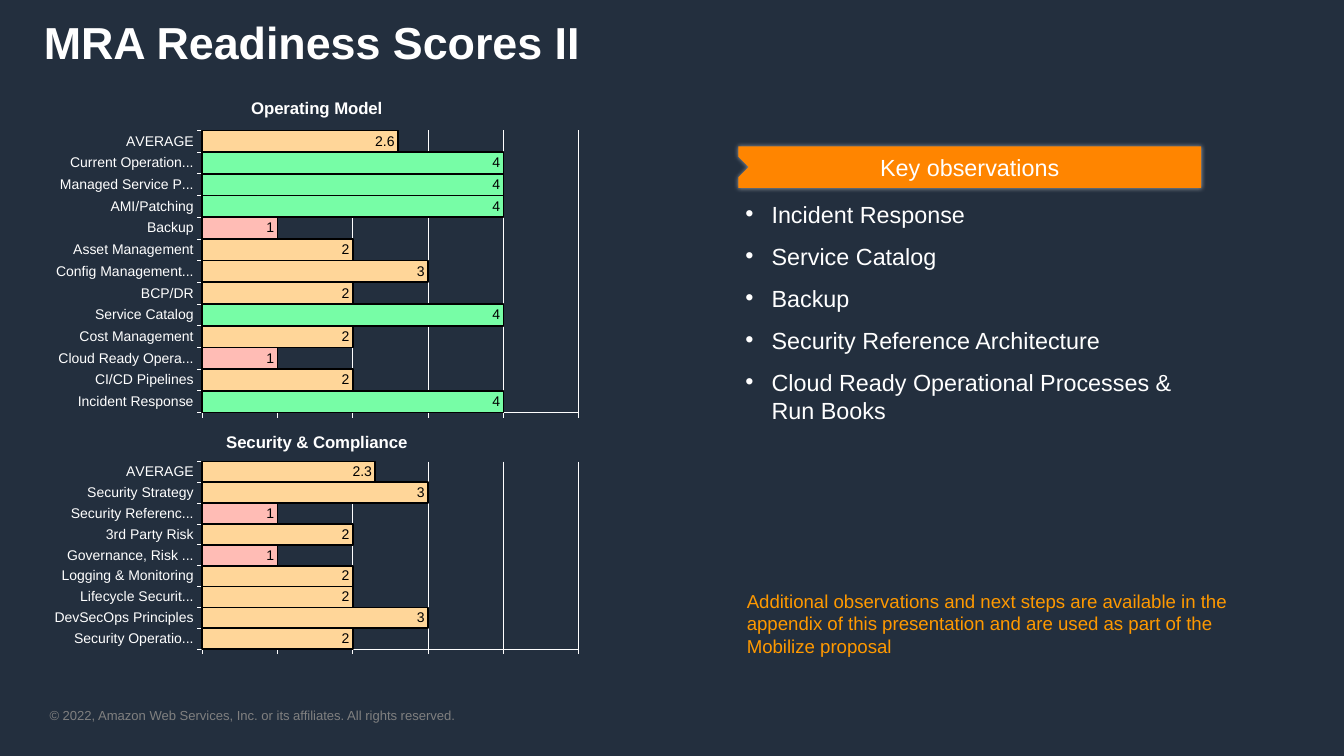
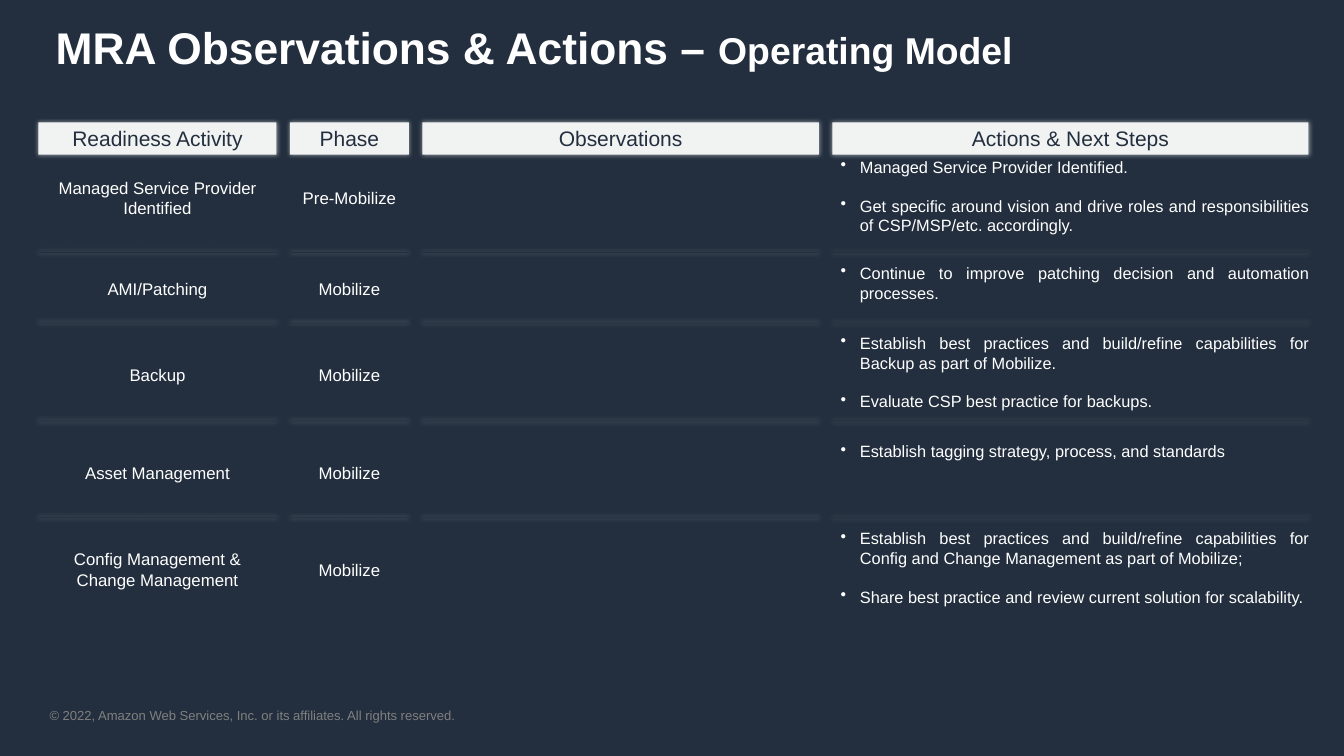
"""Build two readiness assessment slides: score charts and an observations grid."""
from dataclasses import dataclass
from typing import Any, NamedTuple, Optional

from pptx import Presentation
from pptx.chart.data import CategoryChartData
from pptx.dml.color import RGBColor
from pptx.enum.chart import XL_CHART_TYPE, XL_LABEL_POSITION, XL_TICK_LABEL_POSITION, XL_TICK_MARK
from pptx.enum.shapes import MSO_SHAPE
from pptx.enum.text import MSO_ANCHOR, MSO_AUTO_SIZE, PP_ALIGN
from pptx.oxml import parse_xml
from pptx.oxml.ns import nsdecls, qn
from pptx.util import Pt

BAR = XL_CHART_TYPE.BAR_CLUSTERED
INSIDE_END = XL_LABEL_POSITION.INSIDE_END
NO_LABELS = XL_TICK_LABEL_POSITION.NONE
TICK_OUT, TICK_NONE = XL_TICK_MARK.OUTSIDE, XL_TICK_MARK.NONE
RECTANGLE = MSO_SHAPE.RECTANGLE
TOP, MIDDLE = MSO_ANCHOR.TOP, MSO_ANCHOR.MIDDLE
LEFT, CENTER, JUSTIFY = PP_ALIGN.LEFT, PP_ALIGN.CENTER, PP_ALIGN.JUSTIFY
FIXED_SIZE = MSO_AUTO_SIZE.NONE

FONT = "Arial"
NAVY, WHITE, BLACK, GRAY = "232F3E", "FFFFFF", "000000", "808080"
ORANGE, AMBER_TEXT, PALE = "FF8500", "FF9900", "F1F3F3"
GREEN_BAR, YELLOW_BAR, RED_BAR = "77FDA6", "FFD699", "FFBCB5"
SIDES = ("margin_left", "margin_top", "margin_right", "margin_bottom")
FOOTER = "© 2022, Amazon Web Services, Inc. or its affiliates. All rights reserved."


class Area(NamedTuple):
    left: float
    top: float
    width: float
    height: float


class Span(NamedTuple):
    text: str
    size: float
    color: str = WHITE
    bold: bool = False


@dataclass(frozen=True)
class Layout:
    align: Any = LEFT
    anchor: Any = TOP
    insets: tuple[float, float, float, float] = (7.2, 3.6, 7.2, 3.6)
    indent: float = 0
    gap_before: float = 0
    gap_after: float = 0
    line_spacing: float = 1.0


@dataclass(frozen=True)
class ScoreChart:
    title: str
    area: Area
    plot: tuple[float, float, float, float]
    scores: dict[str, float]


@dataclass(frozen=True)
class Column:
    heading: str
    width: float


@dataclass(frozen=True)
class ActivityRow:
    activity: str
    phase: str
    top: float
    height: float
    actions_top: float
    actions: tuple[str, ...]


CELL = Layout(CENTER, MIDDLE, (6.5, 3.6, 6.5, 3.6))
RIBBON = Layout(CENTER, MIDDLE, (5.8, 2.9, 5.8, 2.9))
OBSERVATION_LIST = Layout(insets=RIBBON.insets, indent=22.5, gap_after=12)
ACTION_LIST = Layout(JUSTIFY, indent=16.5, gap_before=16.5)

CHARTS = (
    ScoreChart("Operating Model", Area(37.5, 71.5, 468, 288), (0.29, 0.14, 0.69, 0.84), {
        "Incident Response": 4, "CI/CD Pipelines": 2, "Cloud Ready Opera...": 1,
        "Cost Management": 2, "Service Catalog": 4, "BCP/DR": 2, "Config Management...": 3,
        "Asset Management": 2, "Backup": 1, "AMI/Patching": 4, "Managed Service P...": 4,
        "Current Operation...": 4, "AVERAGE": 2.6}),
    ScoreChart("Security & Compliance", Area(37.5, 359.5, 468, 201.5), (0.29, 0.18, 0.69, 0.8), {
        "Security Operatio...": 2, "DevSecOps Principles": 3, "Lifecycle Securit...": 2,
        "Logging & Monitoring": 2, "Governance, Risk ...": 1, "3rd Party Risk": 2,
        "Security Referenc...": 1, "Security Strategy": 3, "AVERAGE": 2.3}),
)
OBSERVATIONS = ("Incident Response", "Service Catalog", "Backup", "Security Reference Architecture",
                "Cloud Ready Operational Processes & Run Books")
NEXT_STEPS = ("Additional observations and next steps are available in the appendix of this "
              "presentation and are used as part of the Mobilize proposal")

COLUMNS = (Column("Readiness Activity", 204), Column("Phase", 102),
           Column("Observations", 340), Column("Actions & Next Steps", 408))
GRID_LEFT, GRID_TOP, COLUMN_GAP, HEADING_HEIGHT = 33, 105, 11.5, 27.5
ROWS = (
    ActivityRow("Managed Service Provider Identified", "Pre-Mobilize", 132.5, 74, 131, (
        "Managed Service Provider Identified.",
        "Get specific around vision and drive roles and responsibilities of CSP/MSP/etc. accordingly.")),
    ActivityRow("AMI/Patching", "Mobilize", 223.5, 48, 222, (
        "Continue to improve patching decision and automation processes.",)),
    ActivityRow("Backup", "Mobilize", 284, 74, 282, (
        "Establish best practices and build/refine capabilities for Backup as part of Mobilize.",
        "Evaluate CSP best practice for backups.")),
    ActivityRow("Asset Management", "Mobilize", 368, 74, 375, (
        "Establish tagging strategy, process, and standards",)),
    ActivityRow("Config Management & Change Management", "Mobilize", 451, 74, 449.5, (
        "Establish best practices and build/refine capabilities for Config and Change Management "
        "as part of Mobilize;",
        "Share best practice and review current solution for scalability.")),
)


def rgb(color: str) -> RGBColor:
    """Turn a hex string into a colour."""
    return RGBColor.from_string(color)


def set_values(target: Any, values: dict[str, Any]) -> None:
    """Set each named attribute on the target."""
    for name, value in values.items():
        setattr(target, name, value)


def points(area: Area) -> list[Pt]:
    """Give the four lengths of an area."""
    return [Pt(length) for length in area]


def set_font(font: Any, size: float, color: str, bold: bool = False) -> None:
    """Format a font."""
    set_values(font, {"name": FONT, "size": Pt(size), "bold": bold})
    font.color.rgb = rgb(color)


def fill_solid(target: Any, color: str) -> None:
    """Give a shape or chart format a solid fill."""
    target.fill.solid()
    target.fill.fore_color.rgb = rgb(color)


def set_line(line: Any, color: str, width: float) -> None:
    """Format a line."""
    line.color.rgb = rgb(color)
    line.width = Pt(width)


def add_bullet(para: Any, indent: float) -> None:
    """Give a paragraph a hanging bullet."""
    properties = para._p.get_or_add_pPr()
    properties.set("marL", str(Pt(indent)))
    properties.set("indent", str(-Pt(indent)))
    properties.append(parse_xml(f'<a:buChar {nsdecls("a")} char="•"/>'))


def write(box: Any, paragraphs: list[list[Span]], layout: Layout = Layout()) -> None:
    """Fill a shape with formatted paragraphs."""
    frame = box.text_frame
    set_values(frame, {"word_wrap": True, "auto_size": FIXED_SIZE, "vertical_anchor": layout.anchor})
    set_values(frame, {side: Pt(inset) for side, inset in zip(SIDES, layout.insets)})
    for index, spans in enumerate(paragraphs):
        para = frame.add_paragraph() if index else frame.paragraphs[0]
        if layout.indent:
            add_bullet(para, layout.indent)
        set_values(para, {"alignment": layout.align, "line_spacing": layout.line_spacing,
                          "space_before": Pt(layout.gap_before if index else 0),
                          "space_after": Pt(layout.gap_after)})
        for span in spans:
            run = para.add_run()
            run.text = span.text
            set_font(run.font, span.size, span.color, span.bold)


def add_text(page: Any, area: Area, paragraphs: list[list[Span]], layout: Layout = Layout()) -> None:
    """Add a text box."""
    write(page.shapes.add_textbox(*points(area)), paragraphs, layout)


def fill_placeholder(box: Any, area: Area, paragraphs: list[list[Span]], layout: Layout) -> None:
    """Move a placeholder and write its text."""
    set_values(box, dict(zip(("left", "top", "width", "height"), points(area))))
    write(box, paragraphs, layout)


def style_glowing(shape: Any, color: str) -> None:
    """Give a shape a plain fill and a soft white shadow."""
    fill_solid(shape, color)
    shape.line.fill.background()
    shape.shadow.inherit = False
    shape.element.spPr.find(qn("a:effectLst")).append(parse_xml(
        f'<a:outerShdw {nsdecls("a")} blurRad="{Pt(4)}" dist="0" dir="0" algn="ctr" rotWithShape="0">'
        f'<a:srgbClr val="{WHITE}"><a:alpha val="50000"/></a:srgbClr></a:outerShdw>'))


def add_bar(page: Any, area: Area, color: str) -> Any:
    """Add a glowing rectangle."""
    shape = page.shapes.add_shape(RECTANGLE, *points(area))
    style_glowing(shape, color)
    return shape


def add_page(deck: Any, layout_index: int, area: Area, spans: list[Span], layout: Layout) -> Any:
    """Add a slide with its title and footer."""
    page = deck.slides.add_slide(deck.slide_layouts[layout_index])
    fill_placeholder(page.shapes.title, area, [spans], layout)
    add_text(page, Area(42.5, 606, 560, 14), [[Span(FOOTER, 11.2, GRAY)]], Layout(insets=(0, 0, 0, 0)))
    return page


def score_color(score: float) -> str:
    """Pick the bar colour for a score."""
    if score >= 4:
        return GREEN_BAR
    return RED_BAR if score <= 1 else YELLOW_BAR


def place_plot(chart: Any, plot: tuple[float, float, float, float]) -> None:
    """Fix the inner plot area as fractions of the chart."""
    plot_area = chart._chartSpace.chart.plotArea
    old: Optional[Any] = plot_area.find(qn("c:layout"))
    if old is not None:
        plot_area.remove(old)
    sizes = "".join(f'<c:{tag} val="{value}"/>' for tag, value in zip("xywh", plot))
    plot_area.insert(0, parse_xml(
        f'<c:layout {nsdecls("c")}><c:manualLayout><c:layoutTarget val="inner"/>'
        f'<c:xMode val="edge"/><c:yMode val="edge"/>{sizes}</c:manualLayout></c:layout>'))


def add_score_chart(page: Any, spec_chart: ScoreChart) -> None:
    """Add a bar chart coloured by score."""
    data = CategoryChartData()
    data.categories = list(spec_chart.scores)
    data.add_series(spec_chart.title, list(spec_chart.scores.values()))
    chart = page.shapes.add_chart(BAR, *points(spec_chart.area), data).chart
    set_font(chart.font, 12, WHITE)
    set_values(chart, {"has_legend": False, "has_title": True})
    run = chart.chart_title.text_frame.paragraphs[0].add_run()
    run.text = spec_chart.title
    set_font(run.font, 14.4, WHITE, True)
    chart.chart_title.include_in_layout = False
    place_plot(chart, spec_chart.plot)

    for axis in (chart.category_axis, chart.value_axis):
        set_values(axis, {"major_tick_mark": TICK_OUT, "minor_tick_mark": TICK_NONE})
        set_line(axis.format.line, WHITE, 0.75)
    set_values(chart.value_axis, {"minimum_scale": 0, "maximum_scale": 5, "major_unit": 1,
                                  "has_major_gridlines": True, "tick_label_position": NO_LABELS})
    set_line(chart.value_axis.major_gridlines.format.line, WHITE, 0.75)

    bars = chart.plots[0]
    set_values(bars, {"gap_width": 0, "vary_by_categories": False, "has_data_labels": True})
    set_values(bars.data_labels, {"show_value": True, "position": INSIDE_END})
    set_font(bars.data_labels.font, 12, BLACK)
    series = bars.series[0]
    series.invert_if_negative = False
    for index, score in enumerate(spec_chart.scores.values()):
        point = series.points[index].format
        fill_solid(point, score_color(score))
        set_line(point.line, BLACK, 1.5)


def add_ribbon(page: Any, area: Area, text: str) -> None:
    """Add a heading ribbon notched on its left edge."""
    left, top, width, height = area
    right, bottom, middle, notch = left + width, top + height, top + height / 2, 8.7
    corners = ((right, top), (right, bottom), (left, bottom), (left, middle + notch),
               (left + notch, middle), (left, middle - notch))
    builder = page.shapes.build_freeform(Pt(left), Pt(top))
    builder.add_line_segments([(Pt(x), Pt(y)) for x, y in corners], close=True)
    shape = builder.convert_to_shape()
    style_glowing(shape, ORANGE)
    write(shape, [[Span(text, 20)]], RIBBON)


def build_scores(deck: Any) -> None:
    """Build the score charts slide."""
    page = add_page(deck, 1, Area(37.5, 14.5, 1064, 71), [Span("MRA Readiness Scores II", 38.4, WHITE, True)],
                    Layout(insets=(0, 3.6, 0, 3.6), line_spacing=0.9))
    add_ribbon(page, Area(633, 125.5, 396.5, 35.5), "Key observations")
    fill_placeholder(page.placeholders[1], Area(633, 168.5, 396.5, 354),
                     [[Span(item, 20)] for item in OBSERVATIONS], OBSERVATION_LIST)
    add_text(page, Area(633, 502, 442, 65.5), [[Span(NEXT_STEPS, 16, AMBER_TEXT)]])
    for chart in CHARTS:
        add_score_chart(page, chart)


def build_observations(deck: Any) -> None:
    """Build the observations and actions slide."""
    page = add_page(deck, 5, Area(40.5, 8.5, 1090, 63.5),
                    [Span("MRA Observations & Actions – ", 38, WHITE, True),
                     Span("Operating Model", 32, WHITE, True)], Layout(anchor=MIDDLE))
    lefts = [GRID_LEFT + sum(column.width + COLUMN_GAP for column in COLUMNS[:index])
             for index in range(len(COLUMNS))]
    for left, column in zip(lefts, COLUMNS):
        heading = add_bar(page, Area(left, GRID_TOP, column.width, HEADING_HEIGHT), PALE)
        write(heading, [[Span(column.heading, 18, NAVY)]], CELL)
        for row in ROWS[1:]:
            add_bar(page, Area(left, row.top - 7.5, column.width, 0.75), NAVY)
    for row in ROWS:
        for left, column, text in zip(lefts, COLUMNS, (row.activity, row.phase)):
            add_text(page, Area(left, row.top, column.width, row.height), [[Span(text, 14.4)]], CELL)
        add_text(page, Area(lefts[-1], row.actions_top, 416, row.height),
                 [[Span(action, 14)] for action in row.actions], ACTION_LIST)


def main() -> None:
    """Build and save the deck."""
    deck = Presentation()
    set_values(deck, {"slide_width": Pt(1152), "slide_height": Pt(648)})
    fill_solid(deck.slide_master.background, NAVY)
    build_scores(deck)
    build_observations(deck)
    deck.save("out.pptx")


if __name__ == "__main__":
    main()
